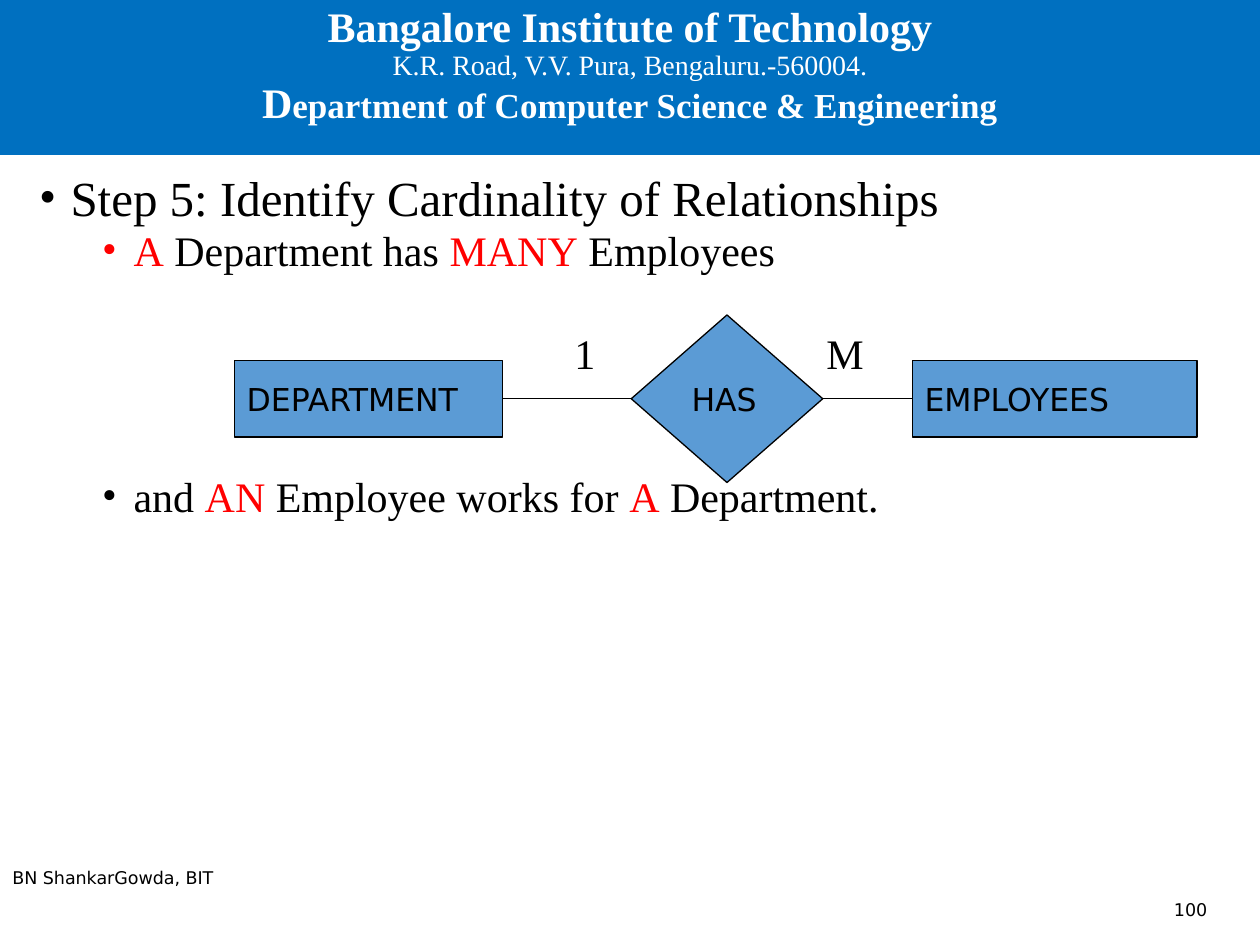
from dataclasses import dataclass

from lxml import etree
from pptx import Presentation
from pptx.dml.color import RGBColor
from pptx.enum.shapes import MSO_CONNECTOR, MSO_SHAPE
from pptx.enum.text import MSO_ANCHOR, MSO_AUTO_SIZE, PP_ALIGN
from pptx.oxml.ns import qn
from pptx.util import Pt

PX = 9144  # 100 px to the inch
RECT, DIAMOND = MSO_SHAPE.RECTANGLE, MSO_SHAPE.DIAMOND
LINE = MSO_CONNECTOR.STRAIGHT
TOP, MIDDLE = MSO_ANCHOR.TOP, MSO_ANCHOR.MIDDLE
LEFT, CENTER, RIGHT = PP_ALIGN.LEFT, PP_ALIGN.CENTER, PP_ALIGN.RIGHT
NO_FIT = MSO_AUTO_SIZE.NONE


@dataclass(frozen=True)
class Theme:
    serif: str = "Times New Roman"
    sans: str = "DejaVu Sans"
    banner: str = "0070C0"
    node: str = "5B9BD5"
    ink: str = "000000"
    light: str = "FFFFFF"
    accent: str = "FF0000"
    head: int = 28
    large: int = 24
    medium: int = 20
    label: int = 18
    address: int = 16
    small: int = 10
    stroke: float = 0.75


T = Theme()


def rgb(code):
    return RGBColor.from_string(code)


def place(shape, box):
    shape.left, shape.top, shape.width, shape.height = (n * PX for n in box)


def style(font, name, size, color=None):
    font.name, font.size = name, Pt(size)
    if color:
        font.color.rgb = rgb(color)


def frame(shape, anchor=TOP):
    text = shape.text_frame
    text.word_wrap, text.auto_size = True, NO_FIT
    text.vertical_anchor = anchor
    return text


def write(shape, words, name, size, align=LEFT, anchor=TOP):
    para = frame(shape, anchor).paragraphs[0]
    para.text, para.alignment = words, align
    style(para.font, name, size, T.ink)


def note(slide, box, *args, **kwargs):
    shape = slide.shapes.add_textbox(*(n * PX for n in box))
    write(shape, *args, **kwargs)


def bullet(para, color, indent):
    props = para._p.get_or_add_pPr()
    props.set("marL", str(indent * PX))
    props.set("indent", str(-25 * PX))
    tint = etree.SubElement(props, qn("a:buClr"))
    etree.SubElement(tint, qn("a:srgbClr"), val=color)
    etree.SubElement(props, qn("a:buFont"), typeface=T.serif)
    etree.SubElement(props, qn("a:buChar"), char="•")


def banner(slide, box):
    title = slide.shapes.title
    place(title, box)
    title.fill.solid()
    title.fill.fore_color.rgb = rgb(T.banner)
    para = frame(title).paragraphs[0]
    para.alignment, para.line_spacing = CENTER, 0.9
    style(para.font, T.serif, T.large, T.light)
    runs = [
        ("Bangalore Institute of Technology", T.large, True, True),
        ("K.R. Road, V.V. Pura, Bengaluru.-560004.", T.address, False, True),
        ("D", T.large, True, False),
        ("epartment of Computer Science & Engineering", T.medium, True, False),
    ]
    for words, size, bold, ends in runs:
        run = para.add_run()
        run.text, run.font.size, run.font.bold = words, Pt(size), bold
        if ends:
            para.add_line_break()


def steps(slide, box):
    body = slide.placeholders[1]
    place(body, box)
    text = frame(body)
    # Level, size, space before, bullet colour, runs (True = accented)
    items = [
        (0, T.head, 0, T.ink,
         [("Step 5: Identify Cardinality of Relationships", False)]),
        (1, T.large, 5, T.accent,
         [("A", True), (" Department has ", False),
          ("MANY", True), (" Employees", False)]),
        # The wide gap leaves room for the diagram
        (1, T.large, 117, T.ink,
         [("and ", False), ("AN", True), (" Employee works for ", False),
          ("A", True), (" Department.", False)]),
    ]
    for i, (level, size, gap, color, runs) in enumerate(items):
        para = text.add_paragraph() if i else text.paragraphs[0]
        para.level, para.line_spacing = level, 0.8
        para.space_before = Pt(gap)
        bullet(para, color, 25 + 50 * level)
        style(para.font, T.serif, size)
        for words, marked in runs:
            run = para.add_run()
            run.text = words
            run.font.color.rgb = rgb(T.accent if marked else T.ink)


def node(slide, kind, box, words):
    shape = slide.shapes.add_shape(kind, *(n * PX for n in box))
    shape.shadow.inherit = False
    shape.fill.solid()
    shape.fill.fore_color.rgb = rgb(T.node)
    shape.line.color.rgb, shape.line.width = rgb(T.ink), Pt(T.stroke)
    write(shape, words, T.sans, T.label, anchor=MIDDLE)
    return shape


def link(slide, start, end):
    # Joins the right corner of one node to the left corner of the next
    y = start.top + start.height // 2
    line = slide.shapes.add_connector(
        LINE, start.left + start.width, y, end.left, y)
    line.line.color.rgb, line.line.width = rgb(T.ink), Pt(T.stroke)
    etree.SubElement(line._element.spPr, qn("a:effectLst"))


def diagram(slide, box):
    x, y, w, h = box
    tall = 61
    mid = y + (h - tall) // 2
    dept = node(slide, RECT, (x, mid, 213, tall), "DEPARTMENT")
    staff = node(slide, RECT, (x + w - 226, mid, 226, tall), "EMPLOYEES")
    has = node(slide, DIAMOND, (x + 315, y, 152, h), "HAS")
    link(slide, dept, has)
    link(slide, has, staff)
    # Cardinality of each side
    for left, mark in ((260, "1"), (460, "M")):
        note(slide, (x + left, y + 5, 60, 45), mark, T.serif, T.large)


def footer(slide, box):
    x, y, w, h = box
    note(slide, (x, y, 317, 50), "BN ShankarGowda, BIT", T.sans, T.small)
    note(slide, (x + w - 225, y + h - 40, 225, 40), "100", T.sans, T.small,
         align=RIGHT, anchor=MIDDLE)


def main():
    deck = Presentation()
    deck.slide_width, deck.slide_height = 1000 * PX, 750 * PX
    slide = deck.slides.add_slide(deck.slide_layouts[1])
    banner(slide, (0, 0, 1000, 123))
    steps(slide, (21, 137, 975, 362))
    footer(slide, (0, 683, 968, 59))
    diagram(slide, (186, 250, 764, 133))
    deck.save("out.pptx")


if __name__ == "__main__":
    main()
